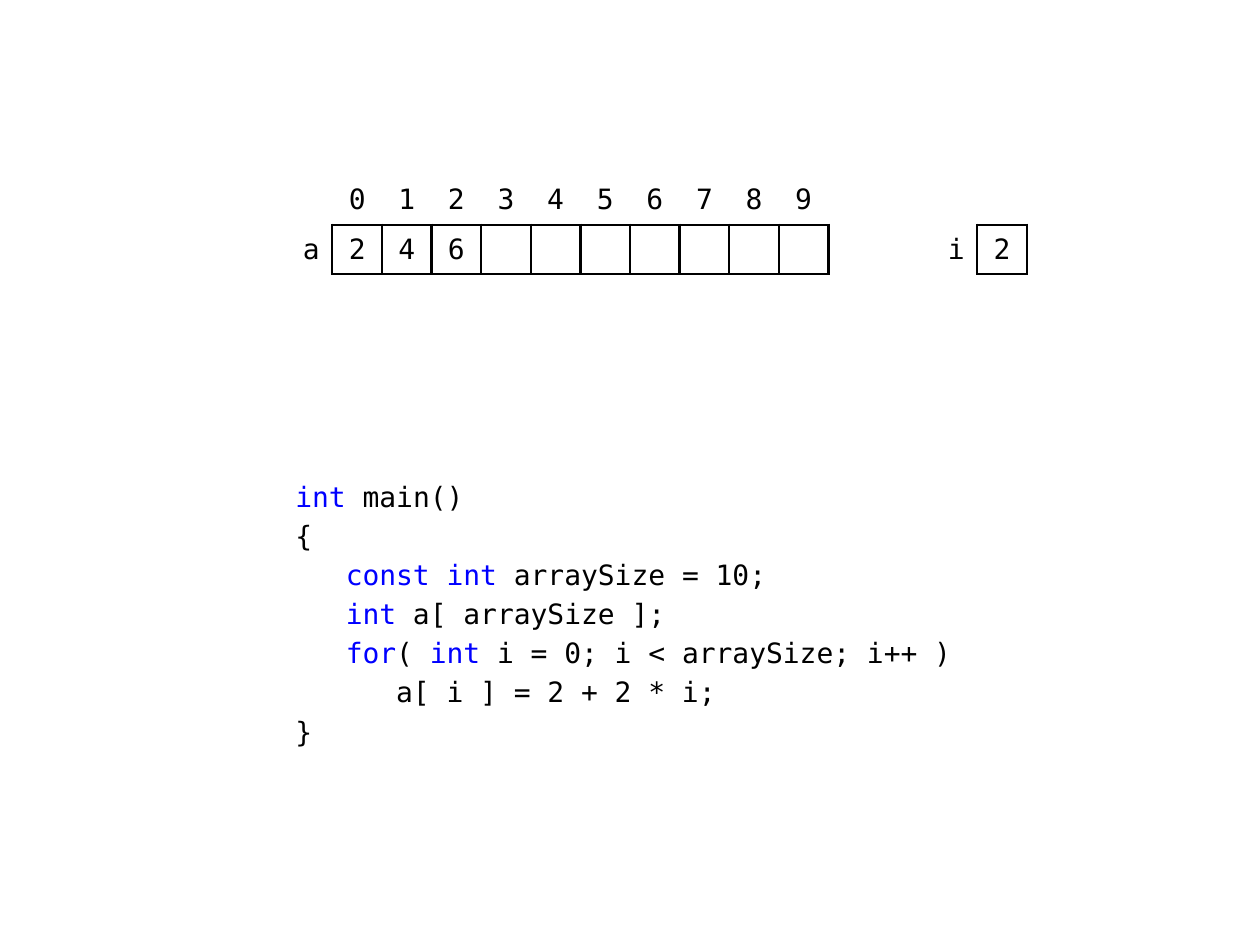
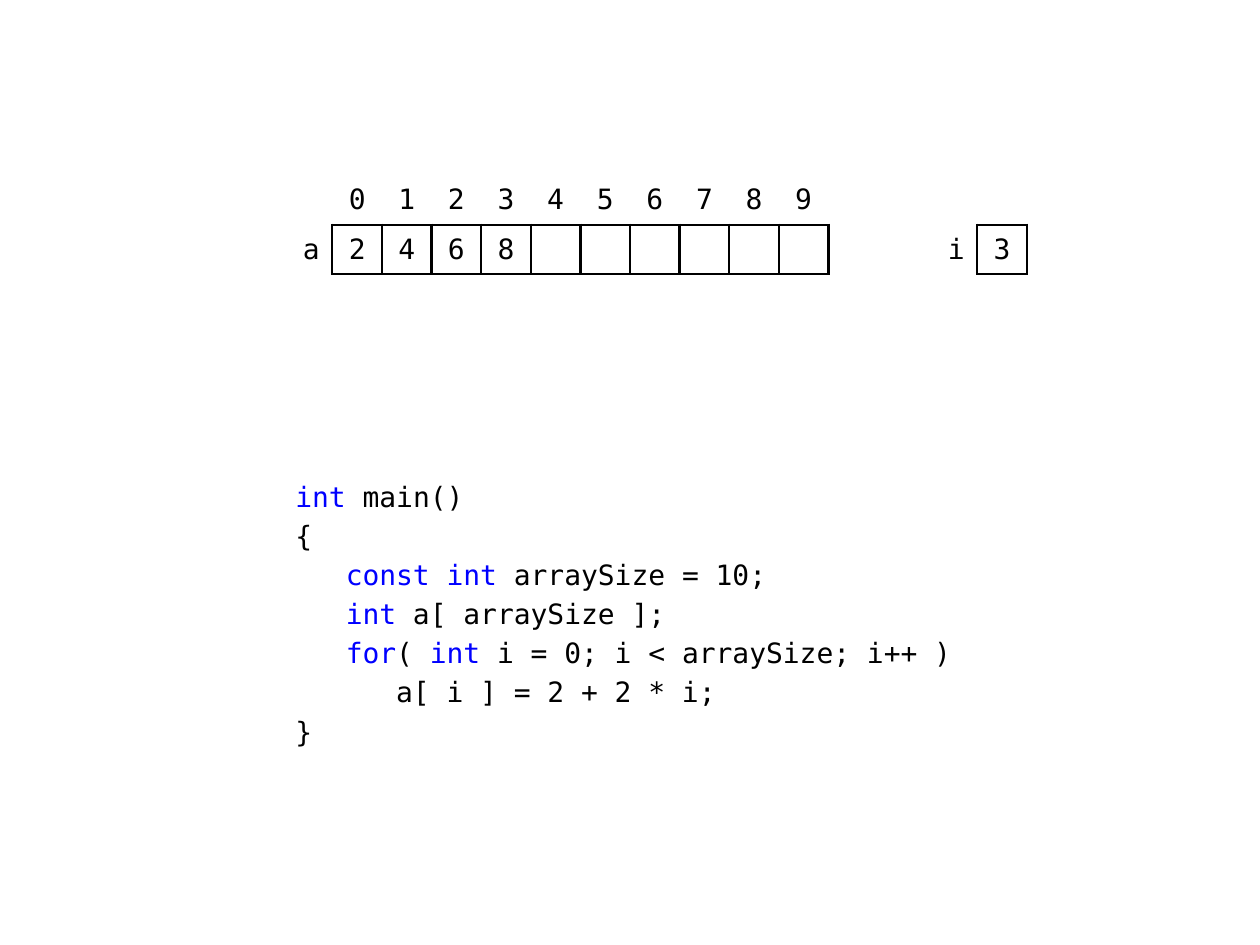
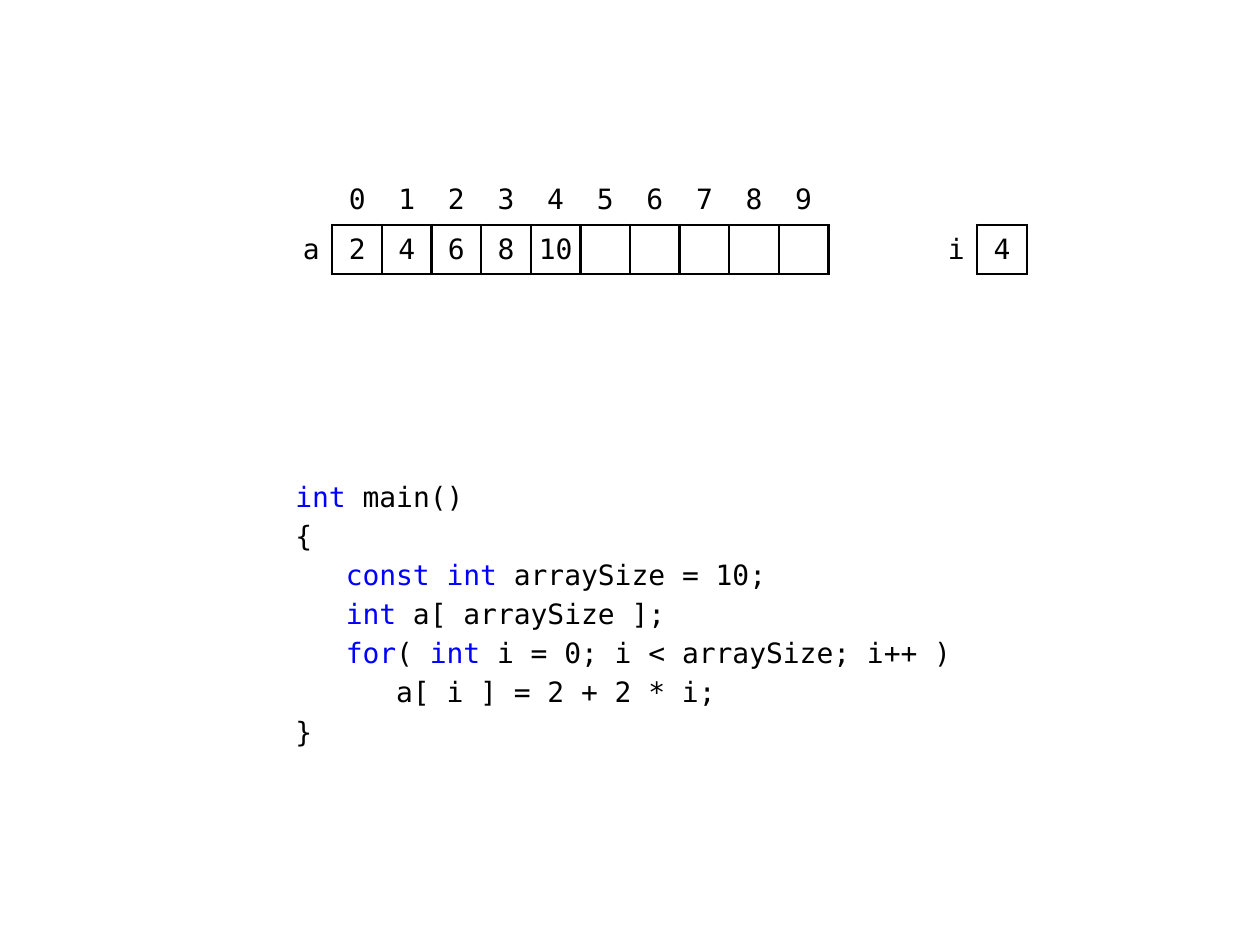
from lxml.etree import SubElement
from pptx import Presentation
from pptx.dml.color import RGBColor
from pptx.enum.text import MSO_ANCHOR, MSO_AUTO_SIZE, PP_ALIGN
from pptx.oxml.ns import qn
from pptx.util import Cm, Inches, Pt

HUES = {"ink": "000000", "key": "0000FF"}
FACE = "DejaVu Sans Mono"
SIZE = Pt(16)
EDGE = Pt(1.5)
PLAIN = "{2D5ABB26-0587-4C30-8999-92F81FD0307C}"
UNIT = Cm(1)
STEP = Inches(0.4)
COUNT = 10
GAP = 3
GRID = (5.7, 3.53, COUNT + GAP + 2, 2)
CODE = (5.7, 9.53, 14, 6)
LINES = [
    (0, "|int| main()"),
    (0, "{"),
    (1, "|const int| arraySize = 10;"),
    (1, "|int| a[ arraySize ];"),
    (1, "|for|( |int| i = 0; i < arraySize; i++ )"),
    (2, "a[ i ] = 2 + 2 * i;"),
    (0, "}"),
]


def scale(box):
    return [round(part * UNIT) for part in box]


def style(para):
    para.font.name = FACE
    para.font.size = SIZE
    para.font.color.rgb = RGBColor.from_string(HUES["ink"])


def rule(cell, sides):
    props = cell._tc.get_or_add_tcPr()
    for side in sides:
        line = SubElement(props, qn("a:ln" + side), w=str(EDGE))
        fill = SubElement(line, qn("a:solidFill"))
        SubElement(fill, qn("a:srgbClr"), val=HUES["ink"])


def put(cell, text, align, pad, sides):
    cell.margin_left = cell.margin_right = Inches(pad)
    cell.margin_top = cell.margin_bottom = 0
    cell.vertical_anchor = MSO_ANCHOR.MIDDLE
    cell.text = text
    para = cell.text_frame.paragraphs[0]
    para.alignment = align
    style(para)
    rule(cell, sides)
    cell.fill.background()


def draw_state(slide, box, step):
    left, top, width, height = scale(box)
    tags = {0: "a", COUNT + 1: "i"}
    last = COUNT + 2
    frame = slide.shapes.add_table(2, last + 1, left, top, width, height)
    table = frame.table
    table.first_row = table.horz_banding = False
    table._tbl.tblPr.find(qn("a:tableStyleId")).text = PLAIN
    for row in table.rows:
        row.height = height // 2
    for col, column in enumerate(table.columns):
        column.width = width // box[2] * (GAP if col == COUNT + 1 else 1)
        slot = 1 <= col <= COUNT
        pad = 0.04 if slot else 0.1
        if col in tags:
            text, align = tags[col], PP_ALIGN.RIGHT
            sides = "LR" if col else "R"
        else:
            align, sides = PP_ALIGN.CENTER, "LRTB"
            text = str(step) if col == last else str(2 * col) if col <= step + 1 else ""
        head = str(col - 1) if slot else ""
        put(table.cell(0, col), head, PP_ALIGN.CENTER, pad, "" if col in tags else "B")
        put(table.cell(1, col), text, align, pad, sides)


def draw_code(slide, box):
    body = slide.placeholders[1]
    body.left, body.top, body.width, body.height = scale(box)
    frame = body.text_frame
    frame.auto_size = MSO_AUTO_SIZE.NONE
    for row, (depth, line) in enumerate(LINES):
        para = frame.add_paragraph() if row else frame.paragraphs[0]
        props = para._p.get_or_add_pPr()
        props.set("marL", str(depth * STEP))
        props.set("indent", "0")
        SubElement(props, qn("a:buNone"))
        style(para)
        for part, text in enumerate(line.split("|")):
            if text:
                run = para.add_run()
                run.text = text
                if part % 2:
                    run.font.color.rgb = RGBColor.from_string(HUES["key"])


def build(deck, step):
    slide = deck.slides.add_slide(deck.slide_layouts[1])
    title = slide.shapes.title.element
    title.getparent().remove(title)
    draw_code(slide, CODE)
    draw_state(slide, GRID, step)


deck = Presentation()
deck.slide_width, deck.slide_height = Inches(10), Inches(7.5)
for step in range(2, 5):
    build(deck, step)
deck.save("out.pptx")
